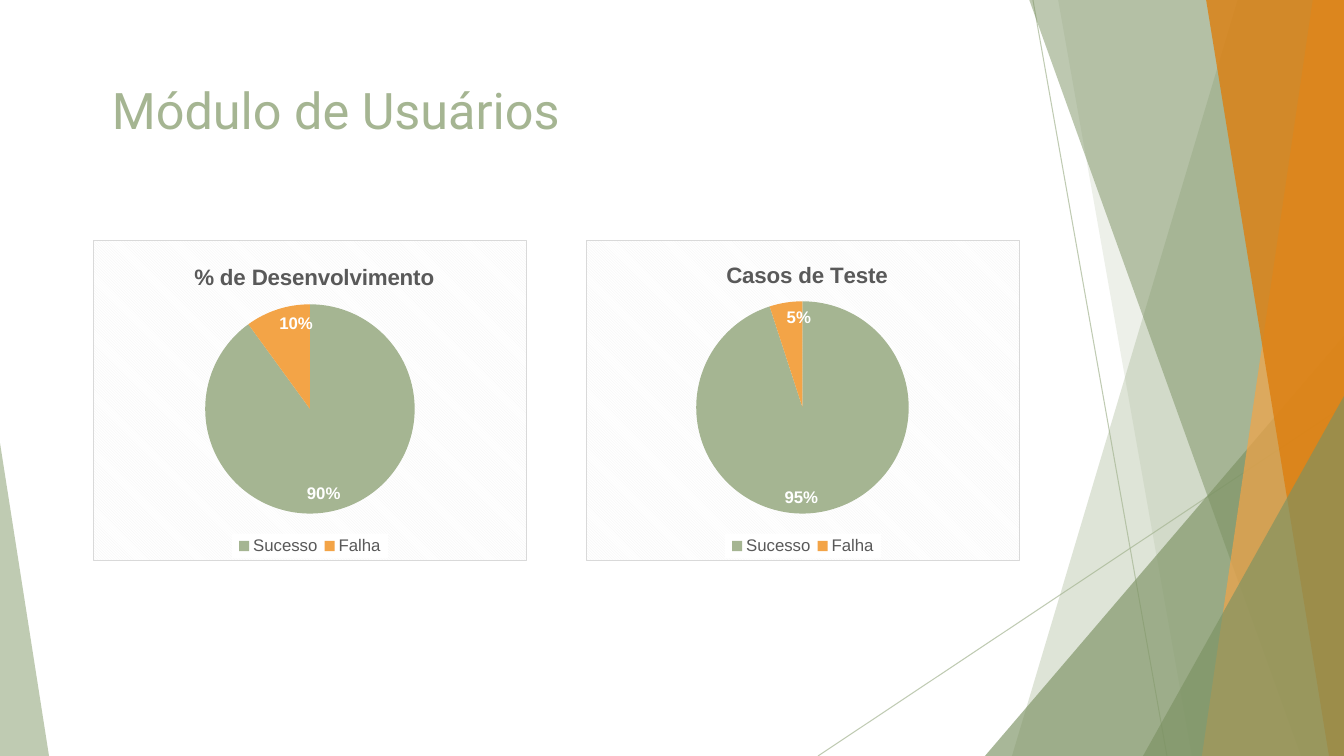
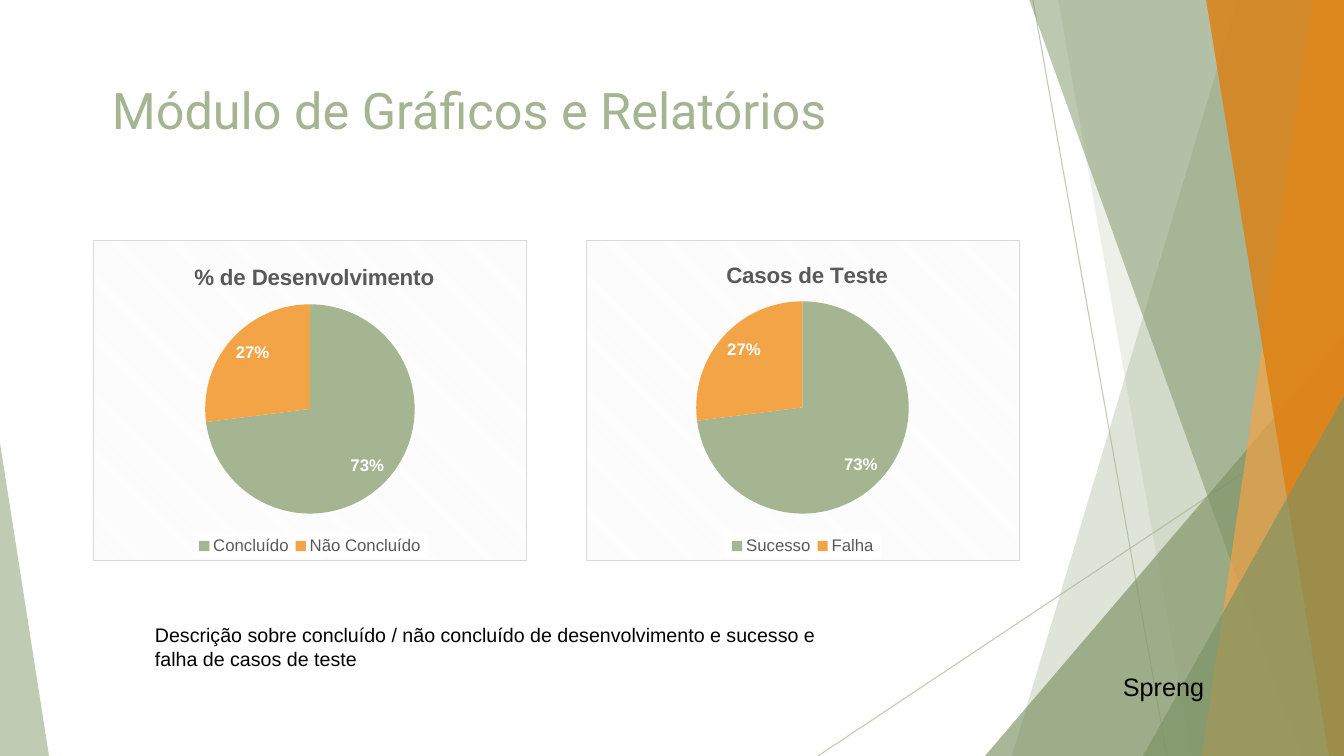
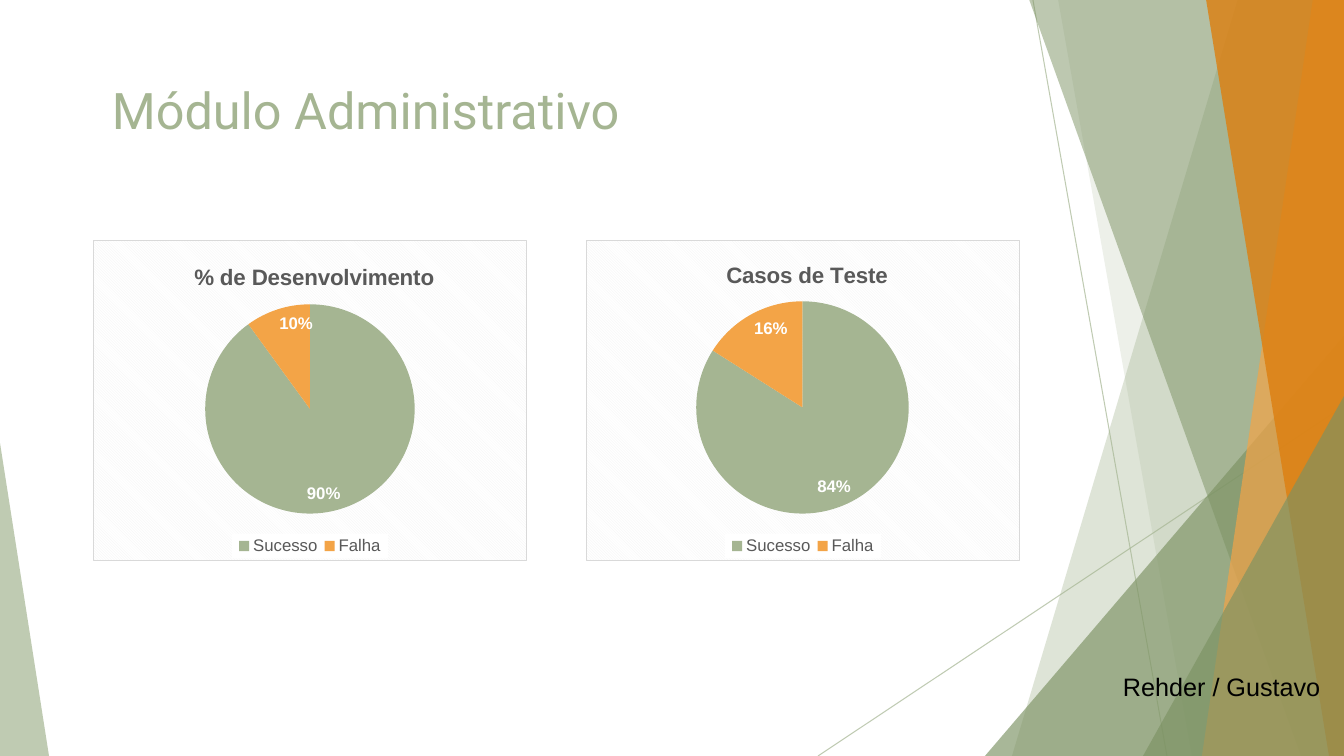
"""Build three module status slides, each with two pie charts over a faceted backdrop."""
from lxml import etree
from pptx import Presentation
from pptx.chart.data import CategoryChartData
from pptx.dml.color import RGBColor
from pptx.enum.chart import XL_CHART_TYPE, XL_LABEL_POSITION as LABEL, XL_LEGEND_POSITION as LEGEND
from pptx.enum.shapes import MSO_CONNECTOR, MSO_SHAPE
from pptx.enum.text import MSO_ANCHOR as ANCHOR, PP_ALIGN as ALIGN
from pptx.oxml import parse_xml
from pptx.oxml.ns import nsdecls, qn
from pptx.util import Pt

PX = 914400 / 100.8
W, H = 1344, 756
SAGE = RGBColor(0xA5, 0xB5, 0x92)
MOSS = RGBColor(0x7C, 0x92, 0x63)
AMBER = RGBColor(0xF3, 0xA4, 0x47)
ORANGE = RGBColor(0xDD, 0x7E, 0x0E)
GRAY = RGBColor(0x59, 0x59, 0x59)
WHITE = RGBColor(0xFF, 0xFF, 0xFF)
BLACK = RGBColor(0, 0, 0)

LINES = [(1033, 0, 1167, H), (W, 406, 818, H)]
FACETS = [
    ("band", (1238, 1012), SAGE, 36),
    ("band", (1058, 1192), SAGE, 20),
    ("triangle", (985, 336, 359, 1), MOSS, 66),
    ("band", (1029, 1301), MOSS, 50),
    ("band", (1313, 1202), AMBER, 70),
    ("band", (1206, 1329), ORANGE, 80),
    ("triangle", (1143, 396, 201, 1), MOSS, 66),
    ("triangle", (0, 443, 49, 0), SAGE, 70),
]

TITLE = ((102, 73, 1048, 72), 36, "Roboto", SAGE, ANCHOR.MIDDLE, ALIGN.JUSTIFY)
NOTE = ((145, 618, 721, 57), 14, "Arial", BLACK, ANCHOR.TOP, ALIGN.LEFT)
AUTHOR = ((1113, 666, 231, 40), 18, "Arial", BLACK, ANCHOR.TOP, ALIGN.LEFT)

CHART_TOP, CHART_W, CHART_H = 240, 434, 321
PANELS = [
    ("% de Desenvolvimento", 93, (97, 18), (112, 64, 210, 210)),
    ("Casos de Teste", 586, (136, 16), (110, 61, 213, 213)),
]
RESULT = ("Sucesso", "Falha")
PROGRESS = ("Concluído", "Não Concluído")
LEGEND_W = {RESULT: 156, PROGRESS: 236}

SLIDES = [
    ([("Módulo de Usuários", TITLE)],
     [(RESULT, (90, 10)), (RESULT, (95, 5))]),
    ([("Módulo de Gráficos e Relatórios", TITLE),
      ("Descrição sobre concluído / não concluído de desenvolvimento e sucesso e "
       "falha de casos de teste", NOTE),
      ("Spreng", AUTHOR)],
     [(PROGRESS, (73, 27)), (RESULT, (73, 27))]),
    ([("Módulo Administrativo", TITLE), ("Rehder / Gustavo", AUTHOR)],
     [(RESULT, (90, 10)), (RESULT, (84, 16))]),
]


def set_alpha(sp, percent):
    """Make the first colour of a shape partly transparent."""
    clr = next(sp.element.spPr.iter(qn("a:srgbClr")))
    etree.SubElement(clr, qn("a:alpha")).set("val", str(percent * 1000))


def set_layout(parent, index, box, inner=False):
    """Place a chart part at a box in px from the chart's corner."""
    for old in parent.findall(qn("c:layout")):
        parent.remove(old)
    layout = parse_xml(f"<c:layout {nsdecls('c')}><c:manualLayout/></c:layout>")
    manual = layout[0]
    if inner:
        etree.SubElement(manual, qn("c:layoutTarget")).set("val", "inner")
    for mode in ("xMode", "yMode"):
        etree.SubElement(manual, qn(f"c:{mode}")).set("val", "edge")
    for key, length, full in zip("xywh", box, (CHART_W, CHART_H) * 2):
        etree.SubElement(manual, qn(f"c:{key}")).set("val", f"{length / full:.4f}")
    parent.insert(index, layout)


prs = Presentation()
prs.slide_width, prs.slide_height = round(W * PX), round(H * PX)

for texts, pies in SLIDES:
    s = prs.slides.add_slide(prs.slide_layouts[6])

    for ends in LINES:
        cn = s.shapes.add_connector(MSO_CONNECTOR.STRAIGHT, *(round(v * PX) for v in ends))
        cn.line.color.rgb = SAGE
        cn.line.width = Pt(0.75)
        set_alpha(cn, 70)
        etree.SubElement(cn.element.spPr, qn("a:effectLst"))

    for kind, geometry, color, alpha in FACETS:
        if kind == "band":
            top_x, bottom_x = geometry
            fb = s.shapes.build_freeform(top_x, -1, scale=PX)
            fb.add_line_segments([(W, -1), (W, H), (bottom_x, H)], close=True)
            sp = fb.convert_to_shape()
        else:
            x, y, w, apex = geometry
            box = (round(v * PX) for v in (x, y, w, H - y))
            sp = s.shapes.add_shape(MSO_SHAPE.ISOSCELES_TRIANGLE, *box)
            sp.adjustments[0] = apex
        sp.shadow.inherit = False
        sp.fill.solid()
        sp.fill.fore_color.rgb = color
        set_alpha(sp, alpha)
        sp.line.fill.background()

    for text, (box, size, font, color, anchor, align) in texts:
        tf = s.shapes.add_textbox(*(round(v * PX) for v in box)).text_frame
        tf.word_wrap = True
        tf.vertical_anchor = anchor
        tf.text = text
        p = tf.paragraphs[0]
        p.alignment = align
        p.font.size, p.font.name = Pt(size), font
        p.font.color.rgb = color

    for (heading, left, title_at, plot_box), (cats, vals) in zip(PANELS, pies):
        data = CategoryChartData()
        data.categories = cats
        data.add_series("Series 1", vals)
        box = (round(v * PX) for v in (left, CHART_TOP, CHART_W, CHART_H))
        chart = s.shapes.add_chart(XL_CHART_TYPE.PIE, *box, data).chart
        chart.font.size, chart.font.name = Pt(10), "Arial"

        chart.has_title = True
        tf = chart.chart_title.text_frame
        tf.text = heading
        font = tf.paragraphs[0].runs[0].font
        font.size, font.bold, font.name = Pt(16), True, "Arial"
        font.color.rgb = GRAY

        chart.has_legend = True
        legend = chart.legend
        legend.position = LEGEND.BOTTOM
        legend.include_in_layout = False
        legend.font.size, legend.font.name = Pt(12), "Arial"
        legend.font.color.rgb = GRAY

        plot = chart.plots[0]
        plot.vary_by_categories = True
        for i, color in enumerate((SAGE, AMBER)):
            fill = plot.series[0].points[i].format.fill
            fill.solid()
            fill.fore_color.rgb = color
        plot.has_data_labels = True
        labels = plot.data_labels
        labels.show_percentage, labels.show_value = True, False
        labels.number_format, labels.number_format_is_linked = "0%", False
        labels.position = LABEL.INSIDE_END
        labels.font.size, labels.font.bold, labels.font.name = Pt(12), True, "Arial"
        labels.font.color.rgb = WHITE

        root = chart._chartSpace.find(qn("c:chart"))
        legend_el = root.find(qn("c:legend"))
        legend_w = LEGEND_W[cats]
        set_layout(root.find(qn("c:title")), 1, title_at)
        set_layout(root.find(qn("c:plotArea")), 0, plot_box, inner=True)
        set_layout(legend_el, 1, ((CHART_W - legend_w) / 2, 296, legend_w, 25))
        legend_el.find(qn("c:overlay")).addnext(parse_xml(
            f'<c:spPr {nsdecls("c", "a")}><a:solidFill><a:srgbClr val="{WHITE}"/></a:solidFill>'
            '<a:ln><a:noFill/></a:ln></c:spPr>'))
        root.addnext(parse_xml(
            f'<c:spPr {nsdecls("c", "a")}><a:pattFill prst="dkDnDiag">'
            '<a:fgClr><a:srgbClr val="F2F2F2"/></a:fgClr>'
            '<a:bgClr><a:srgbClr val="FFFFFF"/></a:bgClr></a:pattFill>'
            '<a:ln w="9525"><a:solidFill><a:srgbClr val="D9D9D9"/></a:solidFill></a:ln></c:spPr>'))

prs.save("out.pptx")
